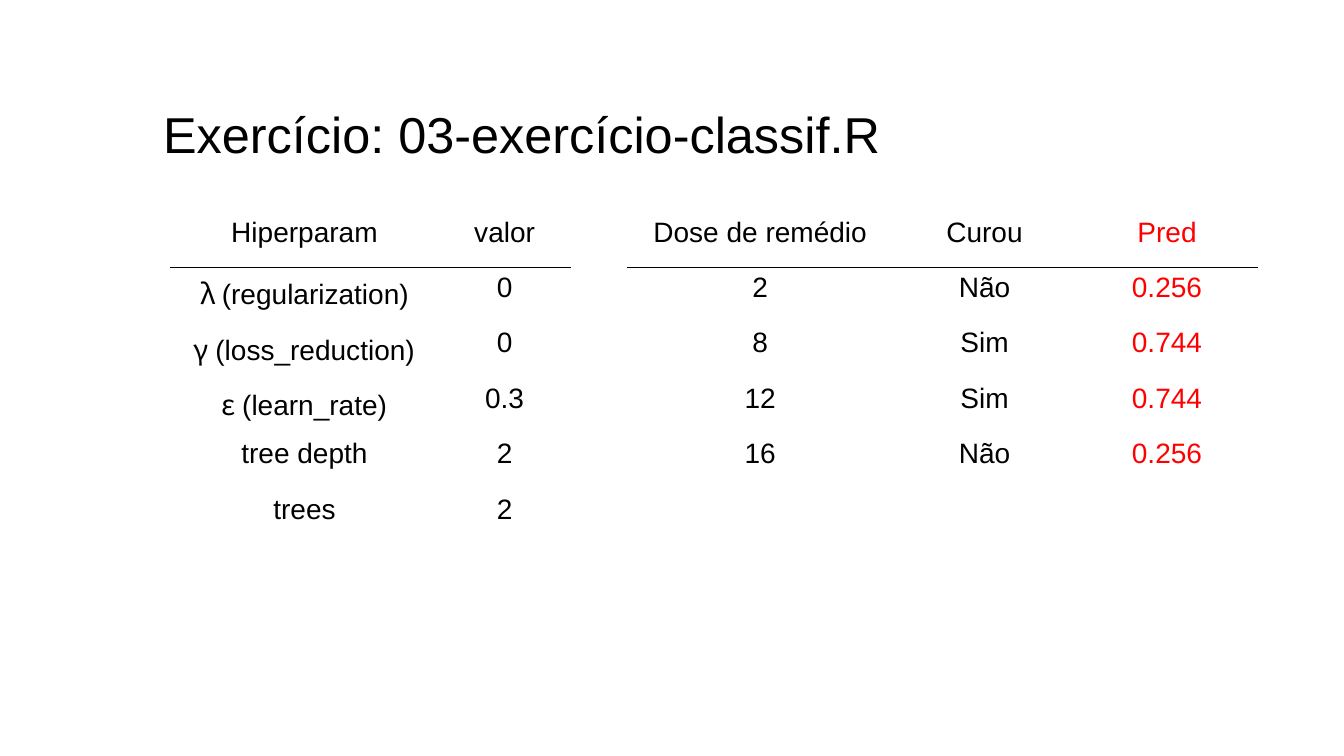
from dataclasses import dataclass

from lxml.etree import SubElement
from pptx import Presentation
from pptx.dml.color import RGBColor
from pptx.enum.text import MSO_AUTO_SIZE, PP_ALIGN
from pptx.oxml.ns import qn
from pptx.slide import Slide
from pptx.table import _Cell
from pptx.text.text import _Paragraph, _Run
from pptx.util import Inches, Pt

BLACK = "000000"
RED = "FF0000"
TEXT_FONT = "Arial"
GREEK_FONT = "Noto Sans CJK SC"
GREEK_LETTERS = "λγε"
TABLE_TOP = 2.1
ROW_HEIGHT = 0.55


@dataclass
class DataTable:
    left: float
    column_widths: list[float]
    column_colors: list[str]
    rows: list[list[str]]


PREDICTIONS = DataTable(
    left=6.22,
    column_widths=[2.64, 1.81, 1.81],
    column_colors=[BLACK, BLACK, RED],
    rows=[
        ["Dose de remédio", "Curou", "Pred"],
        ["2", "Não", "0.256"],
        ["8", "Sim", "0.744"],
        ["12", "Sim", "0.744"],
        ["16", "Não", "0.256"],
    ],
)

HYPERPARAMETERS = DataTable(
    left=1.69,
    column_widths=[2.66, 1.31],
    column_colors=[BLACK, BLACK],
    rows=[
        ["Hiperparam", "valor"],
        ["λ (regularization)", "0"],
        ["γ (loss_reduction)", "0"],
        ["ε (learn_rate)", "0.3"],
        ["tree depth", "2"],
        ["trees", "2"],
    ],
)


def color(value: str) -> RGBColor:
    return RGBColor.from_string(value)


def format_span(span: _Run, size: float, fill: str, font: str = TEXT_FONT) -> None:
    span.font.name = font
    span.font.size = Pt(size)
    span.font.color.rgb = color(fill)


def write_cell_text(para: _Paragraph, text: str, fill: str) -> None:
    """Write centred text, with a leading Greek letter in its own font."""
    para.alignment = PP_ALIGN.CENTER
    if text[0] in GREEK_LETTERS:
        para.text = text[:2]
        format_span(para.runs[0], 20, fill, GREEK_FONT)
        label = para.add_run()
        label.text = text[2:]
    else:
        para.text = text
    format_span(para.runs[-1], 20, fill)


def set_borders(cell: _Cell, ruled_side: str | None) -> None:
    """Rule one side in black and clear the other three."""
    properties = cell._tc.get_or_add_tcPr()
    for side in ("lnL", "lnR", "lnT", "lnB"):
        line = SubElement(properties, qn(f"a:{side}"))
        if side == ruled_side:
            line.set("w", str(Pt(1)))
            solid = SubElement(line, qn("a:solidFill"))
            SubElement(solid, qn("a:srgbClr")).set("val", BLACK)
        else:
            SubElement(line, qn("a:noFill"))


def add_data_table(page: Slide, data: DataTable) -> None:
    table = page.shapes.add_table(
        len(data.rows), len(data.column_widths),
        Inches(data.left), Inches(TABLE_TOP),
        Inches(sum(data.column_widths)), Inches(ROW_HEIGHT * len(data.rows)),
    ).table
    table.first_row = False
    table.horz_banding = False
    for column, width in zip(table.columns, data.column_widths):
        column.width = Inches(width)
    header_rule = {0: "lnB", 1: "lnT"}
    for row_index, texts in enumerate(data.rows):
        table.rows[row_index].height = Inches(ROW_HEIGHT)
        for column_index, text in enumerate(texts):
            cell = table.cell(row_index, column_index)
            set_borders(cell, header_rule.get(row_index))
            cell.fill.background()
            para = cell.text_frame.paragraphs[0]
            write_cell_text(para, text, data.column_colors[column_index])


def add_title(page: Slide, text: str) -> None:
    box = page.shapes.add_textbox(
        Inches(1.52), Inches(0.97), Inches(7.96), Inches(0.71)
    )
    frame = box.text_frame
    frame.word_wrap = False
    frame.auto_size = MSO_AUTO_SIZE.SHAPE_TO_FIT_TEXT
    frame.text = text
    para = frame.paragraphs[0]
    para.alignment = PP_ALIGN.LEFT
    format_span(para.runs[0], 36, BLACK)


def main() -> None:
    deck = Presentation()
    deck.slide_width = Inches(13.33)
    deck.slide_height = Inches(7.5)
    page = deck.slides.add_slide(deck.slide_layouts[6])
    for data in (PREDICTIONS, HYPERPARAMETERS):
        add_data_table(page, data)
    add_title(page, "Exercício: 03-exercício-classif.R")
    deck.save("out.pptx")


if __name__ == "__main__":
    main()
